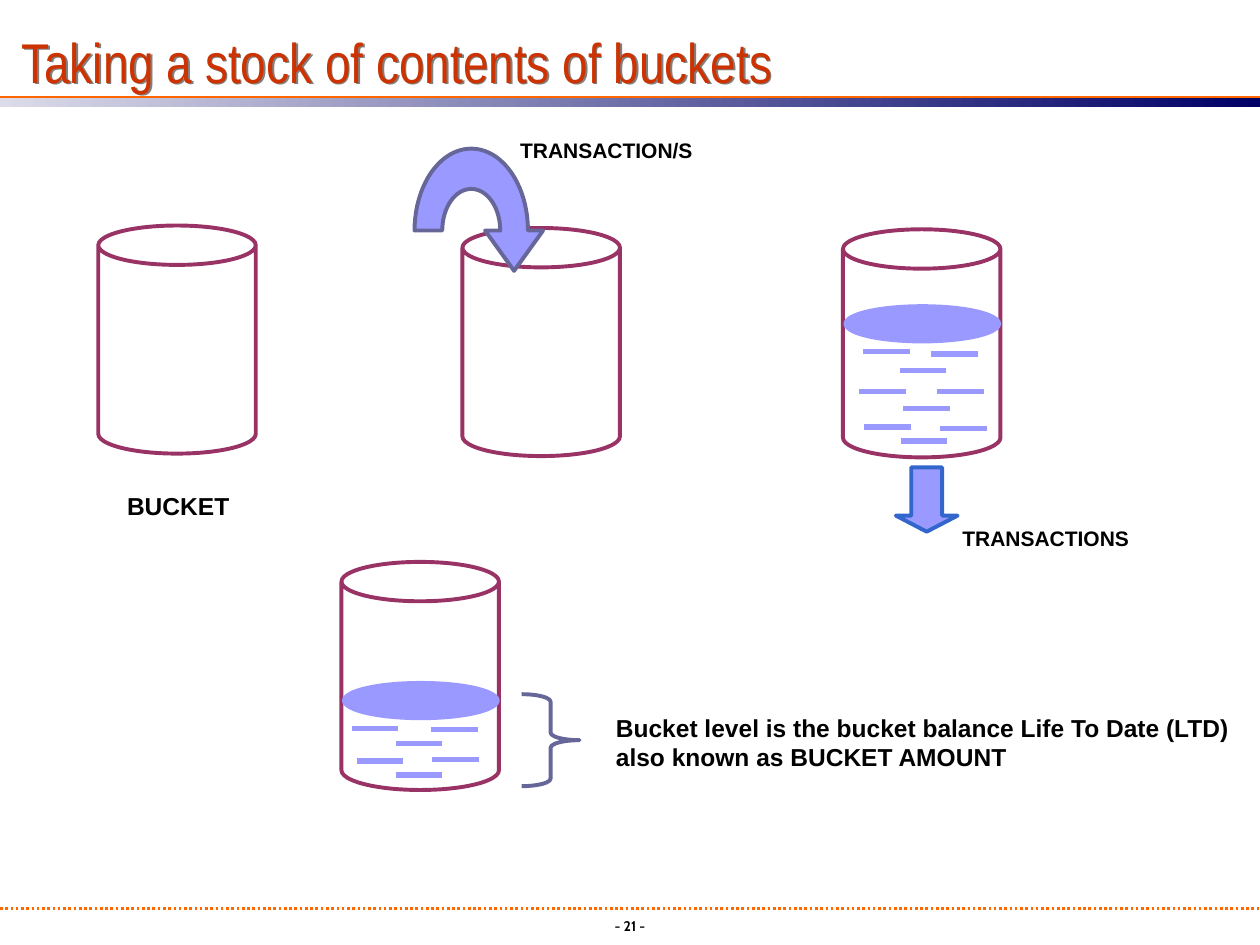
import math
from dataclasses import dataclass

import pptx
import pptx.dml.color
import pptx.enum.dml
import pptx.enum.shapes
import pptx.enum.text
import pptx.oxml
import pptx.oxml.ns
import pptx.util

Inches = pptx.util.Inches
Pt = pptx.util.Pt
RGBColor = pptx.dml.color.RGBColor
SHAPE = pptx.enum.shapes.MSO_SHAPE
ALIGN = pptx.enum.text.PP_ALIGN

ORANGE = RGBColor(0xFF, 0x66, 0x00)
RED = RGBColor(0xCC, 0x33, 0x00)
PALE = RGBColor(0xDB, 0xDB, 0xE9)
NAVY = RGBColor(0x00, 0x00, 0x66)
PLUM = RGBColor(0x99, 0x33, 0x66)
WATER = RGBColor(0x99, 0x99, 0xFF)
SLATE = RGBColor(0x66, 0x66, 0x99)
BLUE = RGBColor(0x33, 0x66, 0xCC)
BLACK = RGBColor(0, 0, 0)

CAN_WIDTH, CAN_HEIGHT = 1.25, 1.81
RIPPLE_LENGTH = 0.37


@dataclass(frozen=True)
class Bucket:
    left: float
    top: float
    water_top: float = 0
    ripples: tuple = ()  # offsets from the can's left and the water's top


@dataclass(frozen=True)
class Label:
    lines: tuple
    left: float
    top: float
    width: float
    height: float
    size: int
    font: str = "Arial"
    align: ALIGN = ALIGN.LEFT
    wrap: bool = False


BUCKETS = (
    Bucket(0.78, 1.79),
    Bucket(3.67, 1.81),
    Bucket(6.69, 1.82, 2.43, (
        (0.16, 0.36), (0.70, 0.38), (0.45, 0.51),
        (0.13, 0.68), (0.75, 0.68), (0.48, 0.81),
        (0.17, 0.96), (0.77, 0.97), (0.46, 1.07))),
    Bucket(2.71, 4.46, 5.42, (
        (0.08, 0.36), (0.71, 0.37), (0.43, 0.48),
        (0.12, 0.62), (0.72, 0.61), (0.43, 0.73))),
)

LABELS = (
    Label(("- 21 -",), 3.96, 7.23, 2.08, 0.27, 8, "Cabin", ALIGN.CENTER, True),
    Label(("Bucket level is the bucket balance Life To Date (LTD)",
           "also known as BUCKET AMOUNT"), 4.79, 5.61, 5.1, 0.57, 14),
    Label(("BUCKET",), 0.91, 3.85, 1.01, 0.34, 14),
    Label(("TRANSACTION/S",), 4.03, 1.04, 1.57, 0.3, 12),
    Label(("TRANSACTIONS",), 7.54, 4.12, 1.6, 0.3, 12),
)


def style(sp, fill: RGBColor | None, line: RGBColor) -> None:
    sp.shadow.inherit = False
    if fill is None:
        sp.fill.background()
    else:
        sp.fill.solid()
        sp.fill.fore_color.rgb = fill
    sp.line.color.rgb = line
    sp.line.width = Pt(2.25)


def add_shape(s, kind, box: tuple, fill: RGBColor | None, line: RGBColor,
              adjustments: tuple = ()):
    sp = s.shapes.add_shape(kind, *map(Inches, box))
    style(sp, fill, line)
    for i, value in enumerate(adjustments):
        sp.adjustments[i] = value
    return sp


def add_line(s, left: float, right: float, y: float, color: RGBColor,
             width: float):
    ln = s.shapes.add_connector(
        pptx.enum.shapes.MSO_CONNECTOR.STRAIGHT,
        Inches(left), Inches(y), Inches(right), Inches(y))
    ln.line.color.rgb = color
    ln.line.width = Pt(width)
    ln._element.spPr.append(pptx.oxml.parse_xml(
        f'<a:effectLst {pptx.oxml.ns.nsdecls("a")}/>'))
    return ln


def add_bucket(s, b: Bucket) -> None:
    add_shape(s, SHAPE.CAN, (b.left, b.top, CAN_WIDTH, CAN_HEIGHT),
              None, PLUM, (0.25,))
    if b.ripples:
        add_shape(s, SHAPE.OVAL, (b.left + 0.02, b.water_top, 1.22, 0.28),
                  WATER, WATER)
    for dx, dy in b.ripples:
        x = b.left + dx
        add_line(s, x, x + RIPPLE_LENGTH, b.water_top + dy, WATER, 3)


def add_label(s, label: Label) -> None:
    sp = s.shapes.add_textbox(
        *map(Inches, (label.left, label.top, label.width, label.height)))
    tf = sp.text_frame
    tf.text = "\n".join(label.lines)
    tf.word_wrap = label.wrap
    if not label.wrap:
        tf.auto_size = pptx.enum.text.MSO_AUTO_SIZE.SHAPE_TO_FIT_TEXT
    for p in tf.paragraphs:
        p.alignment = label.align
        p.font.name = label.font
        p.font.size = Pt(label.size)
        p.font.bold = True
        p.font.color.rgb = BLACK


def half_ellipse(rx: float, ry: float, steps: int = 40) -> list:
    """Points of the upper half, left to right, around the arrow's centre."""
    angles = (math.pi * (1 - i / steps) for i in range(steps + 1))
    return [(3.74 + rx * math.cos(a), 1.83 - ry * math.sin(a)) for a in angles]


def add_turn_arrow(s) -> None:
    head = [(4.31, 1.83), (4.08, 2.15), (3.85, 1.83)]
    outline = half_ellipse(0.45, 0.65) + head + half_ellipse(0.23, 0.33)[::-1]
    # Freeform units are whole numbers, so work in EMU
    points = [(Inches(x), Inches(y)) for x, y in outline]
    fb = s.shapes.build_freeform(*points[0])
    fb.add_line_segments(points[1:], close=True)
    style(fb.convert_to_shape(), WATER, SLATE)


def add_title(s, text: str) -> None:
    sp = s.shapes.title
    sp.left, sp.top, sp.width, sp.height = map(Inches, (0.17, 0.14, 8, 0.61))
    tf = sp.text_frame
    tf.text = text
    tf.auto_size = pptx.enum.text.MSO_AUTO_SIZE.NONE
    tf.vertical_anchor = pptx.enum.text.MSO_ANCHOR.BOTTOM
    tf.margin_left = tf.margin_top = tf.margin_right = tf.margin_bottom = 0
    p = tf.paragraphs[0]
    p.alignment = ALIGN.LEFT
    p.font.name = "Arial Narrow"
    p.font.size = Pt(32)
    p.font.color.rgb = RED
    # Grey shadow, cast by the text because the box has no fill
    sp.fill.background()
    sp._element.spPr.append(pptx.oxml.parse_xml(
        f'<a:effectLst {pptx.oxml.ns.nsdecls("a")}>'
        '<a:outerShdw dist="17961" dir="2700000">'
        '<a:srgbClr val="808080"/></a:outerShdw></a:effectLst>'))


def add_rules(s) -> None:
    footer = add_line(s, 0, 10, 7.21, ORANGE, 1.5)
    footer.line.dash_style = pptx.enum.dml.MSO_LINE.ROUND_DOT
    band = add_shape(s, SHAPE.RECTANGLE, (0, 0.78, 10, 0.07), PALE, PALE)
    band.line.fill.background()
    band.fill.gradient()
    band.fill.gradient_angle = 0
    for stop, color in zip(band.fill.gradient_stops, (PALE, NAVY)):
        stop.color.rgb = color
    add_line(s, 0, 10, 0.77, ORANGE, 1.5)


def main() -> None:
    prs = pptx.Presentation()
    prs.slide_width, prs.slide_height = Inches(10), Inches(7.5)
    s = prs.slides.add_slide(prs.slide_layouts[5])

    # Heading and page rules
    add_rules(s)
    add_title(s, "Taking a stock of contents of buckets")

    # Buckets with their water
    for bucket in BUCKETS:
        add_bucket(s, bucket)

    # Flow in, flow out and the level brace
    add_turn_arrow(s)
    add_shape(s, SHAPE.DOWN_ARROW, (7.11, 3.71, 0.49, 0.51), WATER, BLUE,
              (0.5, 0.26))
    add_shape(s, SHAPE.RIGHT_BRACE, (4.14, 5.51, 0.46, 0.73), None, SLATE,
              (0.13, 0.5))

    # Captions and page number
    for label in LABELS:
        add_label(s, label)

    prs.save("out.pptx")


if __name__ == "__main__":
    main()
